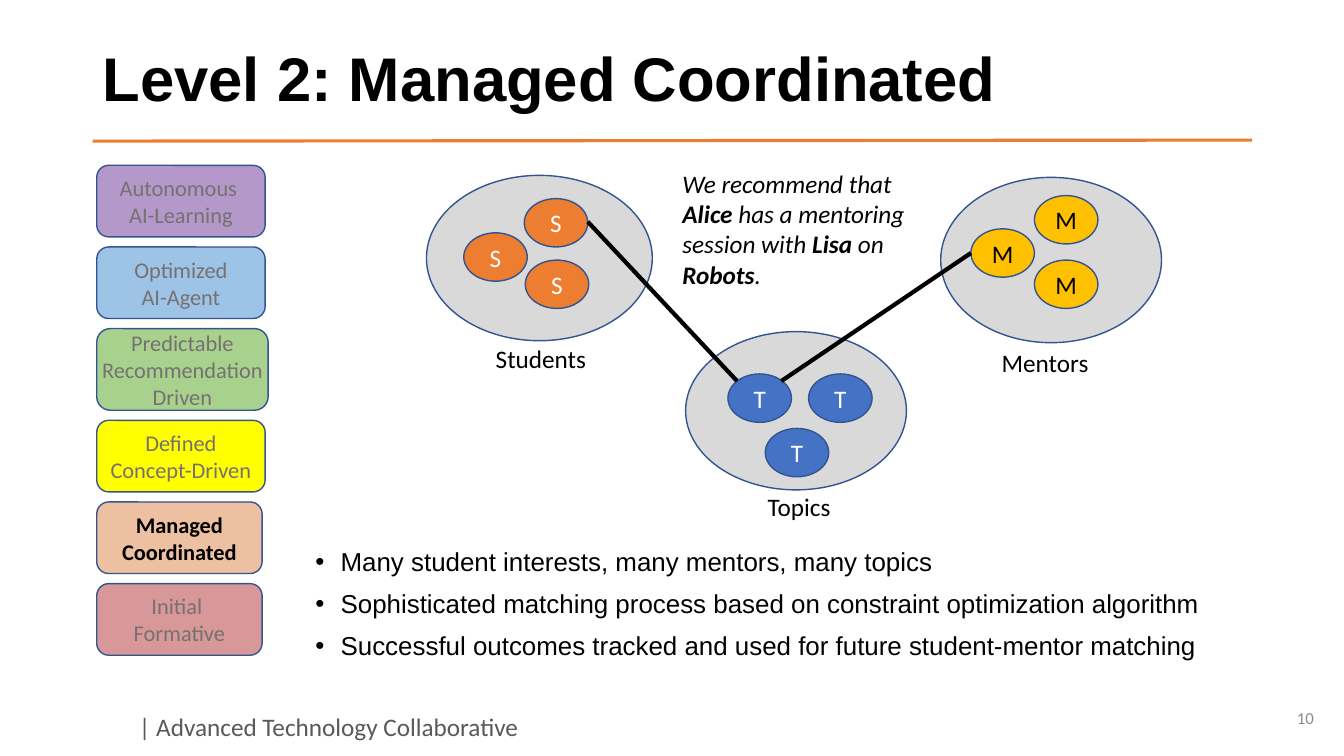
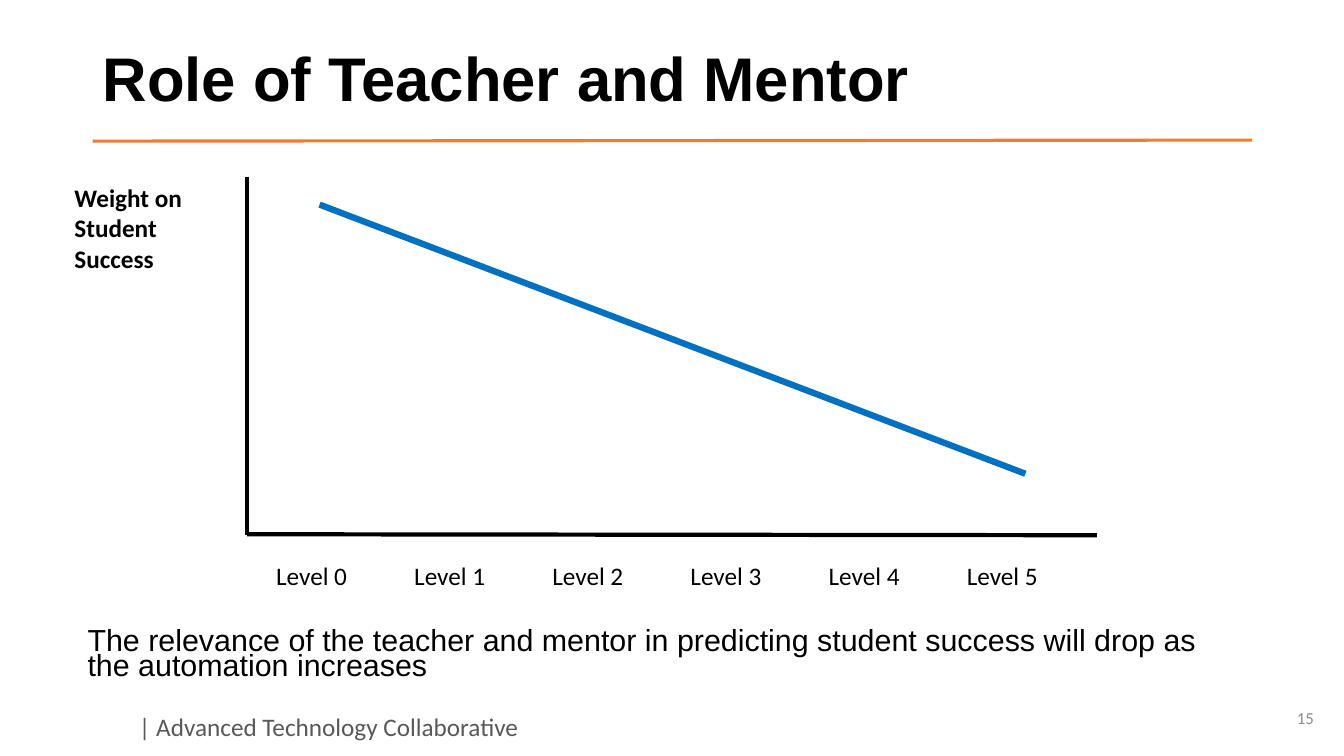
from lxml import etree
from pptx import Presentation
from pptx.dml.color import RGBColor
from pptx.enum import shapes, text
from pptx.oxml import ns
from pptx.util import Inches, Pt

BLACK = RGBColor(0, 0, 0)
WHITE = RGBColor(255, 255, 255)
GRAY = RGBColor(0x76, 0x71, 0x71)
DARK = RGBColor(0x59, 0x59, 0x59)
PALE = RGBColor(0x8C, 0x8C, 0x8C)
CLOUD = RGBColor(0xD9, 0xD9, 0xD9)
EDGE = RGBColor(0x32, 0x54, 0x91)
ORANGE = RGBColor(0xED, 0x7D, 0x31)
GOLD = RGBColor(0xFF, 0xC0, 0x00)
BLUE = RGBColor(0x44, 0x72, 0xC4)
TREND = RGBColor(0x00, 0x70, 0xC0)
ROSE = RGBColor(0xD8, 0x97, 0x98)
PEACH = RGBColor(0xED, 0xC0, 0xA1)
YELLOW = RGBColor(0xFF, 0xFF, 0x00)
GREEN = RGBColor(0xA9, 0xD1, 0x8E)
SKY = RGBColor(0x9D, 0xC3, 0xE6)
PURPLE = RGBColor(0xB4, 0x98, 0xC9)

OVAL = shapes.MSO_SHAPE.OVAL
PILL = shapes.MSO_SHAPE.ROUNDED_RECTANGLE
MIDDLE = text.MSO_ANCHOR.MIDDLE
CENTER = text.PP_ALIGN.CENTER
RIGHT = text.PP_ALIGN.RIGHT

PLAIN = {"name": "Calibri", "size": Pt(18)}
SMALL = {"name": "Calibri", "size": Pt(16)}
TINY = {"name": "Calibri", "size": Pt(12)}
HEAD = {"name": "Arial", "size": Pt(44), "bold": True}
POINT = {"name": "Arial", "size": Pt(18.5)}
CLAIM = {"name": "Arial", "size": Pt(21.7)}

LEVELS = [
    ("Autonomous \nAI-Learning", PURPLE, 1.67, 0.71),
    ("Optimized\nAI-Agent", SKY, 1.67, 0.71),
    ("Predictable\nRecommendation\nDriven", GREEN, 1.7, 0.81),
    ("Defined\nConcept-Driven", YELLOW, 1.67, 0.71),
    ("Managed\nCoordinated", PEACH, 1.64, 0.71),
    ("Initial \nFormative", ROSE, 1.64, 0.71),
]

GROUPS = [
    ("Topics", "T", BLUE, WHITE, (6.8, 3.29, 2.19, 1.57), (7.09, 4.83),
     [(7.22, 3.71), (8.02, 3.71), (7.59, 4.25)]),
    ("Mentors", "M", GOLD, BLACK, (9.33, 1.76, 2.19, 1.64), (9.53, 3.4),
     [(10.26, 1.94), (9.63, 2.27), (10.26, 2.58)]),
    ("Students", "S", ORANGE, WHITE, (4.23, 1.74, 2.24, 1.64), (4.53, 3.36),
     [(5.2, 1.97), (4.6, 2.31), (5.21, 2.58)]),
]

POINTS = [
    "Many student interests, many mentors, many topics",
    "Sophisticated matching process based on constraint optimization algorithm",
    "Successful outcomes tracked and used for future student-mentor matching",
]

ADVICE = [
    ("We recommend that ", False), ("Alice", True),
    (" has a mentoring session with ", False), ("Lisa", True),
    (" on ", False), ("Robots", True), (".", False),
]


def apply(item, style):
    for key, value in style.items():
        setattr(item, key, value)


def write(frame, rows, font, color=BLACK, para=None):
    for i, row in enumerate(rows):
        line = frame.paragraphs[0] if i == 0 else frame.add_paragraph()
        apply(line, para or {})
        parts = [(row, font.get("bold"))] if isinstance(row, str) else row
        for words, bold in parts:
            run = line.add_run()
            run.text = words
            apply(run.font, {**font, "bold": bold})
            run.font.color.rgb = color


def add_text(slide, box, rows, font, color=BLACK, para=None, **style):
    frame = slide.shapes.add_textbox(*map(Inches, box)).text_frame
    apply(frame, {"word_wrap": True, **style})
    write(frame, rows, font, color, para)
    return frame


def add_shape(slide, kind, box, fill, rows=(), font=PLAIN, color=BLACK, **style):
    shape = slide.shapes.add_shape(kind, *map(Inches, box))
    shape.shadow.inherit = False
    shape.fill.solid()
    shape.fill.fore_color.rgb = fill
    shape.line.color.rgb = EDGE
    shape.line.width = Pt(1)
    apply(shape.text_frame, {"vertical_anchor": MIDDLE, **style})
    write(shape.text_frame, rows, font, color, {"alignment": CENTER})


def add_line(slide, start, end, color=BLACK, width=3):
    line = slide.shapes.add_connector(
        shapes.MSO_CONNECTOR.STRAIGHT, *map(Inches, start + end))
    line.line.color.rgb = color
    line.line.width = Pt(width)
    etree.SubElement(line._element.spPr, ns.qn("a:effectLst"))


def add_dots(frame):
    for line in frame.paragraphs:
        props = line._p.get_or_add_pPr()
        props.set("marL", str(Inches(0.25)))
        props.set("indent", str(-Inches(0.25)))
        etree.SubElement(props, ns.qn("a:buFont")).set("typeface", "Arial")
        etree.SubElement(props, ns.qn("a:buChar")).set("char", "•")


def add_slide(deck, title, number):
    slide = deck.slides.add_slide(deck.slide_layouts[6])
    add_text(slide, (1.28, 7.01, 4.08, 0.4), ["| Advanced Technology Collaborative"],
             PLAIN, DARK, word_wrap=False)
    add_line(slide, (0.92, 1.4), (12.42, 1.39), ORANGE, 2.25)
    add_text(slide, (0.92, 0.4, 11.5, 0.82), [title], HEAD,
             para={"line_spacing": 0.9}, vertical_anchor=MIDDLE)
    add_text(slide, (10.13, 6.92, 3, 0.4), [str(number)], TINY, PALE,
             {"alignment": RIGHT}, vertical_anchor=MIDDLE)
    return slide


def add_levels(slide, active):
    top = 1.64
    for label, fill, width, height in LEVELS:
        rows = label.split("\n")
        live = rows[0] == active
        style = {"margin_left": 0, "margin_right": 0} if len(rows) > 2 else {}
        add_shape(slide, PILL, (0.96, top, width, height), fill, rows,
                  {**SMALL, "bold": live}, BLACK if live else GRAY, **style)
        top += height + 0.1


def add_groups(slide):
    for *_, box, _, _ in GROUPS:
        add_shape(slide, OVAL, box, CLOUD)
    for name, mark, fill, color, _, place, spots in GROUPS:
        for spot in spots:
            add_shape(slide, OVAL, spot + (0.63, 0.48), fill, [mark], color=color)
        add_text(slide, place + (1.67, 0.4), [name], PLAIN,
                 para={"alignment": CENTER})


def draw_match(deck):
    slide = add_slide(deck, "Level 2: Managed Coordinated", 10)
    add_levels(slide, "Managed")
    add_groups(slide)
    add_line(slide, (5.83, 2.2), (7.31, 3.78))
    add_line(slide, (9.63, 2.51), (7.75, 3.78))
    add_text(slide, (6.67, 1.62, 2.54, 1.31), [ADVICE], {**PLAIN, "italic": True})
    add_dots(add_text(slide, (3.03, 5.4, 9.38, 1.36), POINTS, POINT,
                      para={"line_spacing": 0.9, "space_before": Pt(10)}))


def draw_role(deck):
    slide = add_slide(deck, "Role of Teacher and Mentor", 15)
    add_line(slide, (3.17, 2.03), (10.17, 4.7), TREND, 4.5)
    add_line(slide, (2.45, 5.31), (2.45, 1.76))
    add_line(slide, (2.45, 5.3), (10.88, 5.31))
    add_text(slide, (0.64, 1.76, 1.34, 1.01), ["Weight on", "Student", "Success"],
             {**PLAIN, "bold": True}, word_wrap=False)
    for i in range(6):
        add_text(slide, (2.64 + 1.37 * i, 5.51, 0.92, 0.4), [f"Level {i}"],
                 PLAIN, word_wrap=False)
    add_text(slide, (0.77, 6.21, 11.5, 0.63),
             ["The relevance of the teacher and mentor in predicting student success "
              "will drop as the automation increases"],
             CLAIM, para={"line_spacing": 0.7, "space_before": Pt(10)})


def main():
    deck = Presentation()
    apply(deck, {"slide_width": Inches(13.33), "slide_height": Inches(7.5)})
    draw_match(deck)
    draw_role(deck)
    deck.save("out.pptx")


if __name__ == "__main__":
    main()
